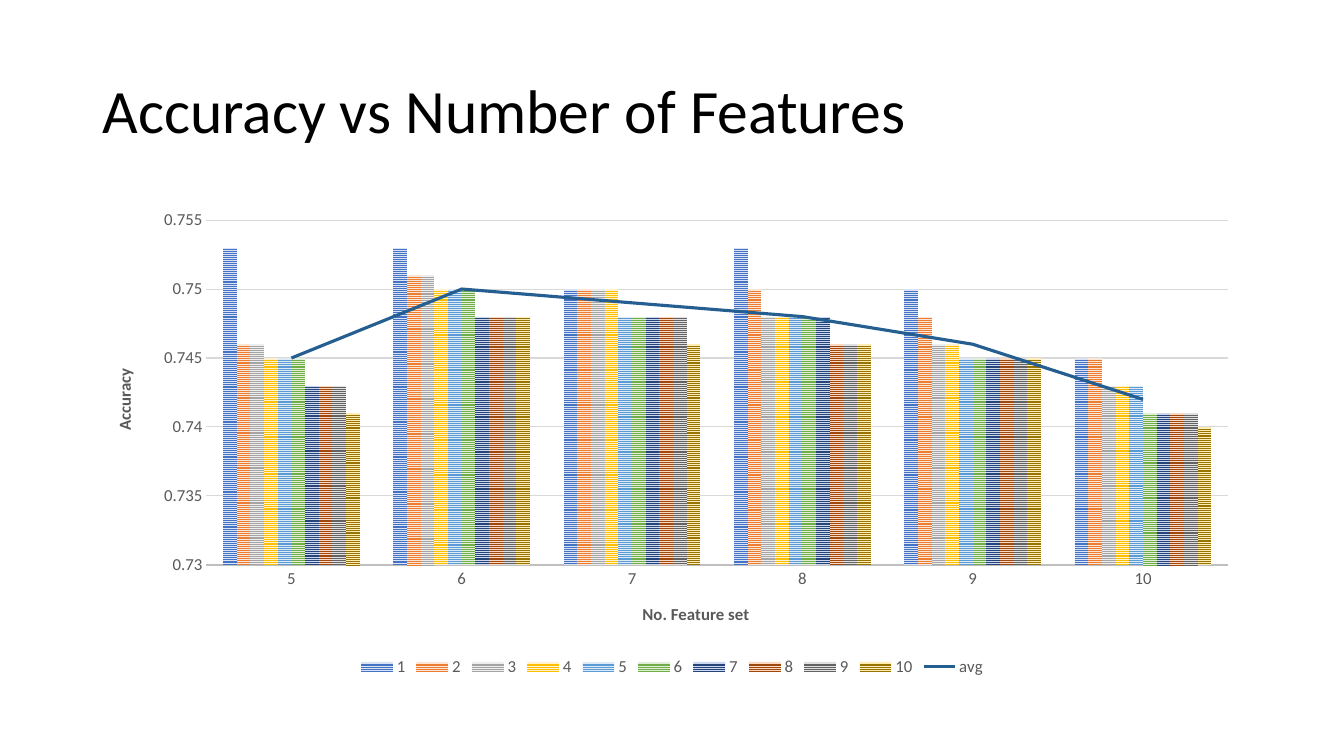
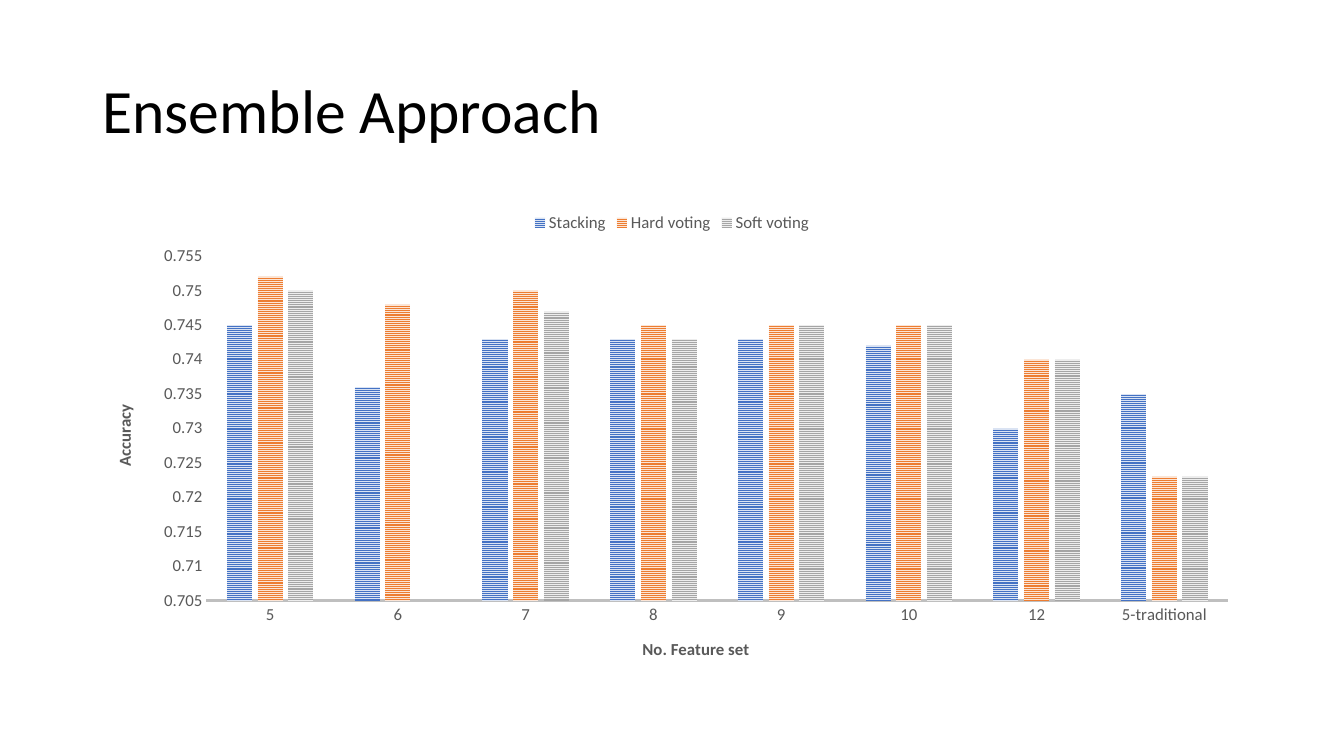
from dataclasses import dataclass
from typing import Optional

from pptx import Presentation
from pptx.chart.axis import CategoryAxis, ValueAxis
from pptx.chart.chart import Chart
from pptx.chart.data import CategoryChartData
from pptx.dml.color import RGBColor
from pptx.enum.chart import XL_CHART_TYPE, XL_LEGEND_POSITION, XL_MARKER_STYLE, XL_TICK_MARK
from pptx.enum.dml import MSO_PATTERN
from pptx.enum.text import MSO_ANCHOR, PP_ALIGN
from pptx.oxml import parse_xml
from pptx.oxml.ns import nsdecls, qn
from pptx.slide import Slide
from pptx.text.text import Font
from pptx.util import Length, Pt

FONT_NAME = "Calibri"
BLACK = RGBColor(0x00, 0x00, 0x00)
LABEL_GRAY = RGBColor(0x59, 0x59, 0x59)
AXIS_GRAY = RGBColor(0xBF, 0xBF, 0xBF)
GRID_GRAY = RGBColor(0xD9, 0xD9, 0xD9)
AVERAGE_BLUE = RGBColor(0x25, 0x5E, 0x91)
STRIPES = (
    (RGBColor(0x44, 0x72, 0xC4), RGBColor(0xDA, 0xE3, 0xF3)),
    (RGBColor(0xED, 0x7D, 0x31), RGBColor(0xFB, 0xE5, 0xD6)),
    (RGBColor(0xA5, 0xA5, 0xA5), RGBColor(0xED, 0xED, 0xED)),
    (RGBColor(0xFF, 0xC0, 0x00), RGBColor(0xFF, 0xF2, 0xCC)),
    (RGBColor(0x5B, 0x9B, 0xD5), RGBColor(0xDE, 0xEB, 0xF7)),
    (RGBColor(0x70, 0xAD, 0x47), RGBColor(0xE2, 0xF0, 0xD9)),
    (RGBColor(0x26, 0x44, 0x78), RGBColor(0xCA, 0xD7, 0xEE)),
    (RGBColor(0x9E, 0x48, 0x0E), RGBColor(0xFA, 0xD8, 0xC1)),
    (RGBColor(0x63, 0x63, 0x63), RGBColor(0xE0, 0xE0, 0xE0)),
    (RGBColor(0x99, 0x73, 0x00), RGBColor(0xFF, 0xED, 0xB8)),
)
LEFT, WIDTH = Pt(66), Pt(828)
TITLE_TOP, TITLE_HEIGHT = Pt(28.75), Pt(104.38)
CHART_TOP, CHART_HEIGHT = Pt(143.75), Pt(342.62)
PLOT_LEFT, PLOT_WIDTH, PLOT_HEIGHT = Pt(81.4), Pt(730), Pt(246.3)
CATEGORY_TITLE_LEFT, CATEGORY_TITLE_DROP = Pt(390.7), Pt(270.8)
VALUE_TITLE_LEFT, VALUE_TITLE_DROP = Pt(12.6), Pt(103.8)


@dataclass(frozen=True)
class AccuracyChart:
    title: str
    categories: tuple[str, ...]
    accuracies: dict[str, tuple[Optional[float], ...]]
    minimum: float
    gap_width: int
    overlap: int
    plot_top: Length
    legend_position: XL_LEGEND_POSITION
    gridlines: bool = False
    average_name: str = ""


ACCURACY_CHARTS = (
    AccuracyChart(
        title="Accuracy vs Number of Features",
        categories=("5", "6", "7", "8", "9", "10"),
        accuracies={
            "1": (0.753, 0.753, 0.75, 0.753, 0.75, 0.745),
            "2": (0.746, 0.751, 0.75, 0.75, 0.748, 0.745),
            "3": (0.746, 0.751, 0.75, 0.748, 0.746, 0.743),
            "4": (0.745, 0.75, 0.75, 0.748, 0.746, 0.743),
            "5": (0.745, 0.75, 0.748, 0.748, 0.745, 0.743),
            "6": (0.745, 0.75, 0.748, 0.748, 0.745, 0.741),
            "7": (0.743, 0.748, 0.748, 0.748, 0.745, 0.741),
            "8": (0.743, 0.748, 0.748, 0.746, 0.745, 0.741),
            "9": (0.743, 0.748, 0.748, 0.746, 0.745, 0.741),
            "10": (0.741, 0.748, 0.746, 0.746, 0.745, 0.74),
        },
        minimum=0.73,
        gap_width=247,
        overlap=0,
        plot_top=Pt(13.5),
        legend_position=XL_LEGEND_POSITION.BOTTOM,
        gridlines=True,
        average_name="avg",
    ),
    AccuracyChart(
        title="Ensemble Approach",
        categories=("5", "6", "7", "8", "9", "10", "12", "5-traditional"),
        accuracies={
            "Stacking": (0.745, 0.736, 0.743, 0.743, 0.743, 0.742, 0.73, 0.735),
            "Hard voting": (0.752, 0.748, 0.75, 0.745, 0.745, 0.745, 0.74, 0.723),
            "Soft voting": (0.75, None, 0.747, 0.743, 0.745, 0.745, 0.74, 0.723),
        },
        minimum=0.705,
        gap_width=164,
        overlap=-22,
        plot_top=Pt(39),
        legend_position=XL_LEGEND_POSITION.TOP,
    ),
)


def style_font(font: Font, size: float, color: RGBColor, bold: bool = False) -> None:
    font.name = FONT_NAME
    font.size = Pt(size)
    font.bold = bold
    font.color.rgb = color


def place(element, index: int, target: str = "", **lengths: int) -> None:
    for layout in element.findall(qn("c:layout")):
        element.remove(layout)
    inner = f'<c:layoutTarget val="{target}"/>' if target else ""
    modes = '<c:xMode val="edge"/><c:yMode val="edge"/>'
    whole = {"x": WIDTH, "y": CHART_HEIGHT, "w": WIDTH, "h": CHART_HEIGHT}
    values = "".join(f'<c:{name} val="{length / whole[name]:.4f}"/>'
                     for name, length in lengths.items())
    element.insert(index, parse_xml(
        f'<c:layout {nsdecls("c")}><c:manualLayout>{inner}{modes}{values}'
        "</c:manualLayout></c:layout>"))


def style_axis(axis: CategoryAxis | ValueAxis, title: str, x: int, y: int) -> None:
    axis.major_tick_mark = axis.minor_tick_mark = XL_TICK_MARK.NONE
    style_font(axis.tick_labels.font, 12, LABEL_GRAY)
    text_frame = axis.axis_title.text_frame
    text_frame.text = title
    style_font(text_frame.paragraphs[0].runs[0].font, 12, LABEL_GRAY, bold=True)
    place(axis.axis_title.element, 1, x=x, y=y)


def turn_last_series_into_line(chart: Chart) -> None:
    bar_chart = chart.element.find(".//" + qn("c:barChart"))
    series_element = bar_chart.findall(qn("c:ser"))[-1]
    for invert in series_element.findall(qn("c:invertIfNegative")):
        series_element.remove(invert)
    line_chart = parse_xml(
        f'<c:lineChart {nsdecls("c")}><c:grouping val="standard"/>'
        '<c:varyColors val="0"/><c:marker val="1"/></c:lineChart>')
    line_chart.insert(2, series_element)
    for axis_id in bar_chart.findall(qn("c:axId")):
        line_chart.append(parse_xml(f'<c:axId {nsdecls("c")} val="{axis_id.get("val")}"/>'))
    bar_chart.addnext(line_chart)
    series = chart.plots[1].series[0]
    series.smooth = False
    series.marker.style = XL_MARKER_STYLE.NONE
    series.format.line.color.rgb = AVERAGE_BLUE
    series.format.line.width = Pt(2.25)


def add_title(slide: Slide, text: str) -> None:
    title = slide.shapes.title
    title.left, title.top, title.width, title.height = LEFT, TITLE_TOP, WIDTH, TITLE_HEIGHT
    title.text_frame.text = text
    title.text_frame.vertical_anchor = MSO_ANCHOR.MIDDLE
    paragraph = title.text_frame.paragraphs[0]
    paragraph.alignment = PP_ALIGN.LEFT
    paragraph.line_spacing = 0.9
    style_font(paragraph.runs[0].font, 44, BLACK)


def add_accuracy_chart(slide: Slide, content: AccuracyChart) -> None:
    data = CategoryChartData()
    data.categories = content.categories
    for name, values in content.accuracies.items():
        data.add_series(name, values)
    if content.average_name:
        columns = zip(*content.accuracies.values())
        data.add_series(content.average_name,
                        [round(sum(column) / len(column), 3) for column in columns])
    chart = slide.shapes.add_chart(
        XL_CHART_TYPE.COLUMN_CLUSTERED, LEFT, CHART_TOP, WIDTH, CHART_HEIGHT, data).chart
    chart.has_title = False
    style_font(chart.font, 10, BLACK)
    plot = chart.plots[0]
    plot.vary_by_categories = False
    plot.gap_width = content.gap_width
    plot.overlap = content.overlap
    if content.average_name:
        turn_last_series_into_line(chart)
    for series, (stripe, background) in zip(plot.series, STRIPES):
        fill = series.format.fill
        fill.patterned()
        fill.pattern = MSO_PATTERN.NARROW_HORIZONTAL
        fill.fore_color.rgb = stripe
        fill.back_color.rgb = background

    category_axis, value_axis = chart.category_axis, chart.value_axis
    style_axis(category_axis, "No. Feature set",
               CATEGORY_TITLE_LEFT, content.plot_top + CATEGORY_TITLE_DROP)
    category_axis.format.line.color.rgb = AXIS_GRAY
    category_axis.format.line.width = Pt(1.5)
    style_axis(value_axis, "Accuracy", VALUE_TITLE_LEFT, content.plot_top + VALUE_TITLE_DROP)
    value_axis.format.line.fill.background()
    value_axis.minimum_scale = content.minimum
    value_axis.maximum_scale = 0.755
    value_axis.major_unit = 0.005
    value_axis.has_major_gridlines = content.gridlines
    if content.gridlines:
        grid_line = value_axis.major_gridlines.format.line
        grid_line.color.rgb = GRID_GRAY
        grid_line.width = Pt(0.75)
    place(chart.element.find(".//" + qn("c:plotArea")), 0, "inner",
          x=PLOT_LEFT, y=content.plot_top, w=PLOT_WIDTH, h=PLOT_HEIGHT)

    chart.has_legend = True
    chart.legend.position = content.legend_position
    chart.legend.include_in_layout = False
    style_font(chart.legend.font, 12, LABEL_GRAY)


def main() -> None:
    presentation = Presentation()
    presentation.slide_width, presentation.slide_height = Pt(960), Pt(540)
    title_only = presentation.slide_layouts.get_by_name("Title Only")
    for content in ACCURACY_CHARTS:
        slide = presentation.slides.add_slide(title_only)
        add_title(slide, content.title)
        add_accuracy_chart(slide, content)
    presentation.save("out.pptx")


main()
